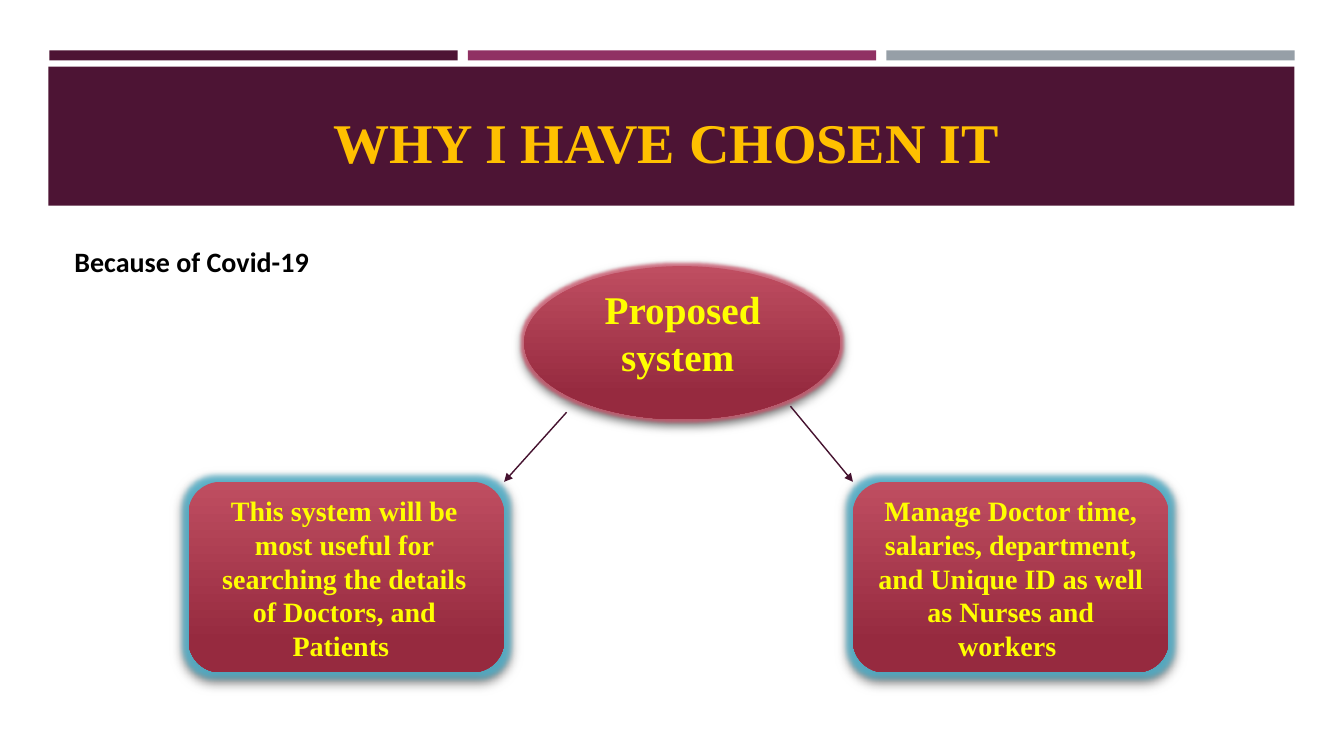
from dataclasses import dataclass

from lxml import etree
from pptx import Presentation
from pptx.dml.color import RGBColor
from pptx.enum.shapes import MSO_CONNECTOR, MSO_SHAPE
from pptx.enum.text import MSO_ANCHOR, MSO_AUTO_SIZE, PP_ALIGN
from pptx.oxml import parse_xml
from pptx.oxml.ns import qn
from pptx.util import Inches, Pt

RECT, ELLIPSE, ROUNDED = MSO_SHAPE.RECTANGLE, MSO_SHAPE.OVAL, MSO_SHAPE.ROUNDED_RECTANGLE
STRAIGHT = MSO_CONNECTOR.STRAIGHT
LEFT, CENTER = PP_ALIGN.LEFT, PP_ALIGN.CENTER
TOP, BOTTOM = MSO_ANCHOR.TOP, MSO_ANCHOR.BOTTOM
NO_FIT, GROW = MSO_AUTO_SIZE.NONE, MSO_AUTO_SIZE.SHAPE_TO_FIT_TEXT
DRAWING_NS = "http://schemas.openxmlformats.org/drawingml/2006/main"
EFFECTS = """<a:effectLst xmlns:a="{ns}">
  <a:glow rad="{radius}"><a:srgbClr val="{glow}"><a:alpha val="{alpha}"/></a:srgbClr></a:glow>
  <a:outerShdw blurRad="{blur}" dist="{dist}" dir="5040000" rotWithShape="0">
    <a:srgbClr val="000000"><a:alpha val="60000"/></a:srgbClr></a:outerShdw>
</a:effectLst>"""


@dataclass(frozen=True)
class Theme:
    plum: str = "4D1434"
    magenta: str = "903163"
    grey: str = "969FA7"
    arrow: str = "45122F"
    gold: str = "FFC000"
    yellow: str = "FFFF00"
    black: str = "000000"
    gradient: tuple = ((0, "BF4E61"), (0.84, "962A3F"))
    rose_glow: str = "D0546C"
    blue_glow: str = "4EB3CF"
    serif: str = "Times New Roman"
    sans: str = "Calibri"
    title_size: int = 40
    topic_size: int = 28
    text_size: int = 20


class SlideBuilder:
    def __init__(self, slide, theme):
        self.slide, self.theme = slide, theme

    def bar(self, box, color):
        bar = self.slide.shapes.add_shape(RECT, *map(Inches, box))
        bar.shadow.inherit = False
        bar.fill.solid()
        bar.fill.fore_color.rgb = RGBColor.from_string(color)
        bar.line.fill.background()

    def node(self, kind, box, glow, radius, alpha):
        """Gradient shape with a glow and a soft shadow below it."""
        node = self.slide.shapes.add_shape(kind, *map(Inches, box))
        node.fill.gradient()
        node.fill.gradient_angle = 270
        for stop, (position, color) in zip(node.fill.gradient_stops, self.theme.gradient):
            stop.position = position
            stop.color.rgb = RGBColor.from_string(color)
        node.line.fill.background()
        node._element.spPr.append(parse_xml(EFFECTS.format(
            ns=DRAWING_NS, glow=glow, radius=Pt(radius), alpha=alpha * 1000,
            blur=Pt(7), dist=Pt(3))))

    def arrow(self, start, end):
        arrow = self.slide.shapes.add_connector(STRAIGHT, *map(Inches, start + end))
        arrow.line.color.rgb = RGBColor.from_string(self.theme.arrow)
        arrow.line.width = Pt(1)
        etree.SubElement(arrow.line._get_or_add_ln(), qn("a:tailEnd"), type="triangle")
        etree.SubElement(arrow._element.spPr, qn("a:effectLst"))

    def fill_text(self, frame, text, size, color, font, align, frame_format):
        for name, value in frame_format.items():
            setattr(frame, name, value)
        paragraph = frame.paragraphs[0]
        paragraph.alignment = align
        run = paragraph.add_run()
        run.text = text
        for name, value in {"name": font, "size": Pt(size), "bold": True}.items():
            setattr(run.font, name, value)
        run.font.color.rgb = RGBColor.from_string(color)

    def title(self, box, text):
        title = self.slide.shapes.title
        for name, value in zip(("left", "top", "width", "height"), box):
            setattr(title, name, Inches(value))
        # Bring the title in front of its band
        self.slide.shapes._spTree.append(title._element)
        self.fill_text(title.text_frame, text, self.theme.title_size, self.theme.gold,
                       self.theme.serif, CENTER,
                       {"word_wrap": True, "auto_size": NO_FIT, "vertical_anchor": BOTTOM})

    def label(self, box, text, size, color, font, align=CENTER):
        label = self.slide.shapes.add_textbox(*map(Inches, box))
        self.fill_text(label.text_frame, text, size, color, font, align,
                       {"word_wrap": True, "auto_size": GROW, "vertical_anchor": TOP})


def main():
    theme = Theme()
    deck = Presentation()
    deck.slide_width, deck.slide_height = Inches(13.33), Inches(7.5)
    page = SlideBuilder(deck.slides.add_slide(deck.slide_layouts[5]), theme)

    # Header: three accent bars above the title band
    for column, color in enumerate((theme.plum, theme.magenta, theme.grey)):
        page.bar((0.49 + column * 4.15, 0.5, 4.05, 0.1), color)
    page.bar((0.48, 0.66, 12.36, 1.38), theme.plum)
    page.title((0.64, 0.83, 12.06, 0.95), "WHY I HAVE CHOSEN IT ")

    # Reason
    page.label((0.64, 2.38, 2.86, 0.44), "Because of Covid-19",
               theme.text_size, theme.black, theme.sans, LEFT)

    # Topic
    page.node(ELLIPSE, (5.2, 2.64, 3.13, 1.52), theme.rose_glow, 4, 75)
    page.label((5.68, 2.78, 2.18, 1.04), "Proposed system ",
               theme.topic_size, theme.yellow, theme.serif)

    # Benefits: box left, text left, arrow start, arrow end, wording
    benefits = (
        (1.87, 1.97, (5.62, 4.09), 5,
         "This system will be most useful for searching the details of Doctors, and Patients "),
        (8.46, 8.58, (7.84, 4.03), 8.46,
         "Manage Doctor time, salaries, department, and Unique ID as well as Nurses and workers "),
    )
    box_top = 4.78
    for box_left, text_left, arrow_start, arrow_end, benefit in benefits:
        page.node(ROUNDED, (box_left, box_top, 3.13, 1.89), theme.blue_glow, 8, 80)
        page.arrow(arrow_start, (arrow_end, box_top))
        page.label((text_left, 4.85, 2.89, 1.78), benefit,
                   theme.text_size, theme.yellow, theme.serif)

    deck.save("out.pptx")


if __name__ == "__main__":
    main()
